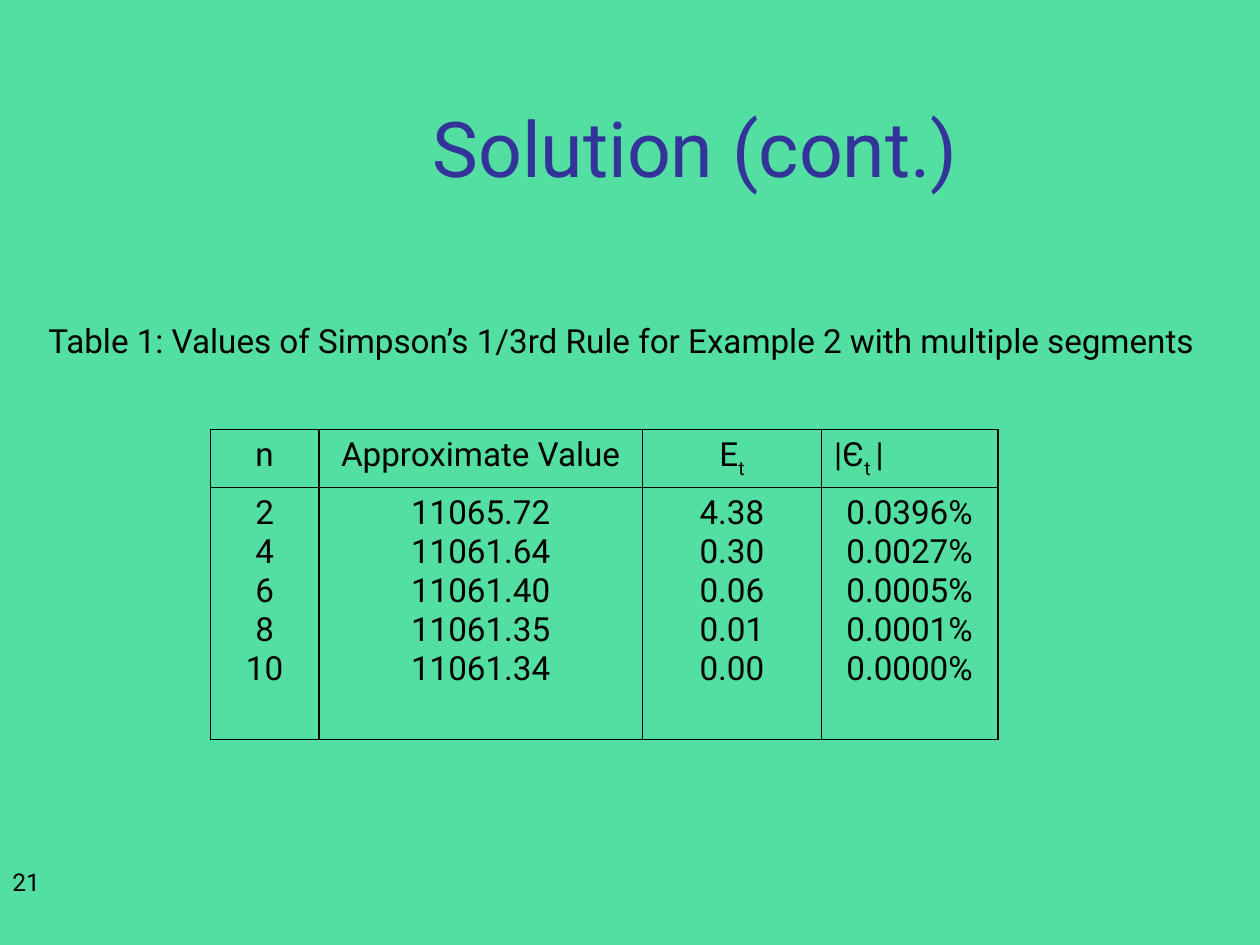
from lxml import etree
from pptx import Presentation
from pptx.dml.color import RGBColor
from pptx.enum import text
from pptx.oxml.ns import qn
from pptx.util import Inches, Pt

FONT = "Roboto"
COLORS = {"background": "54DFA2", "title": "333399", "text": "000000"}
CENTER, LEFT = text.PP_ALIGN.CENTER, text.PP_ALIGN.LEFT
MIDDLE, BOTTOM = text.MSO_ANCHOR.MIDDLE, text.MSO_ANCHOR.BOTTOM

COL_WIDTHS = [0.86, 2.57, 1.42, 1.4]
ROW_HEIGHTS = [0.46, 2]
# Each header is a list of (text, is subscript) runs
HEADERS = [
    [("n", False)],
    [("Approximate Value", False)],
    [("E", False), ("t", True)],
    [("|Є", False), ("t ", True), ("|", False)],
]
RESULTS = [
    ("2", "11065.72", "4.38", "0.0396%"),
    ("4", "11061.64", "0.30", "0.0027%"),
    ("6", "11061.40", "0.06", "0.0005%"),
    ("8", "11061.35", "0.01", "0.0001%"),
    ("10", "11061.34", "0.00", "0.0000%"),
]


def rgb(name):
    return RGBColor.from_string(COLORS[name])


def format_text(tf, size, color="text", align=LEFT):
    for p in tf.paragraphs:
        p.alignment = align
        for r in p.runs:
            r.font.name = FONT
            r.font.size = Pt(size)
            r.font.color.rgb = rgb(color)


def add_label(s, box, label, size, color="text", align=LEFT, anchor=BOTTOM,
              wrap=True):
    tf = s.shapes.add_textbox(*map(Inches, box)).text_frame
    tf.word_wrap = wrap
    tf.vertical_anchor = anchor
    tf.text = label
    format_text(tf, size, color, align)


def add_borders(cell):
    tc_pr = cell._tc.get_or_add_tcPr()
    for i, side in enumerate(("a:lnL", "a:lnR", "a:lnT", "a:lnB")):
        ln = etree.Element(qn(side), w=str(Pt(1)))
        fill = etree.SubElement(ln, qn("a:solidFill"))
        etree.SubElement(fill, qn("a:srgbClr"), val=COLORS["text"])
        tc_pr.insert(i, ln)  # borders come before the cell fill


def add_results_table(s, left, top):
    box = (left, top, sum(COL_WIDTHS), sum(ROW_HEIGHTS))
    table = s.shapes.add_table(len(ROW_HEIGHTS), len(COL_WIDTHS),
                               *map(Inches, box)).table
    table.first_row = table.horz_banding = False
    for row, height in zip(table.rows, ROW_HEIGHTS):
        row.height = Inches(height)

    for i, (width, header) in enumerate(zip(COL_WIDTHS, HEADERS)):
        table.columns[i].width = Inches(width)
        head, body = table.cell(0, i), table.cell(1, i)

        # Header with subscripts
        p = head.text_frame.paragraphs[0]
        for part, subscript in header:
            r = p.add_run()
            r.text = part
            if subscript:
                r._r.get_or_add_rPr().set("baseline", "-25000")

        # One paragraph for each result
        body.text_frame.text = "\n".join(result[i] for result in RESULTS)

        last = i == len(HEADERS) - 1
        format_text(head.text_frame, 19, align=LEFT if last else CENTER)
        format_text(body.text_frame, 19, align=CENTER)
        for cell in (head, body):
            cell.fill.background()
            add_borders(cell)


def main():
    prs = Presentation()
    prs.slide_width, prs.slide_height = Inches(10), Inches(7.5)
    s = prs.slides.add_slide(prs.slide_layouts[6])
    s.background.fill.solid()
    s.background.fill.fore_color.rgb = rgb("background")

    # Slide number, title and caption
    add_label(s, (0, 6.91, 2.08, 0.25), "21", 14)
    add_label(s, (1.26, 0.33, 8.52, 1.25), "Solution (cont.)", 44, "title",
              CENTER)
    add_label(s, (0.25, 2.49, 9.36, 0.42),
              "Table 1: Values of Simpson’s 1/3rd Rule for Example 2 "
              "with multiple segments", 19, align=CENTER, anchor=MIDDLE,
              wrap=False)

    add_results_table(s, 1.67, 3.41)
    prs.save("out.pptx")


if __name__ == "__main__":
    main()
